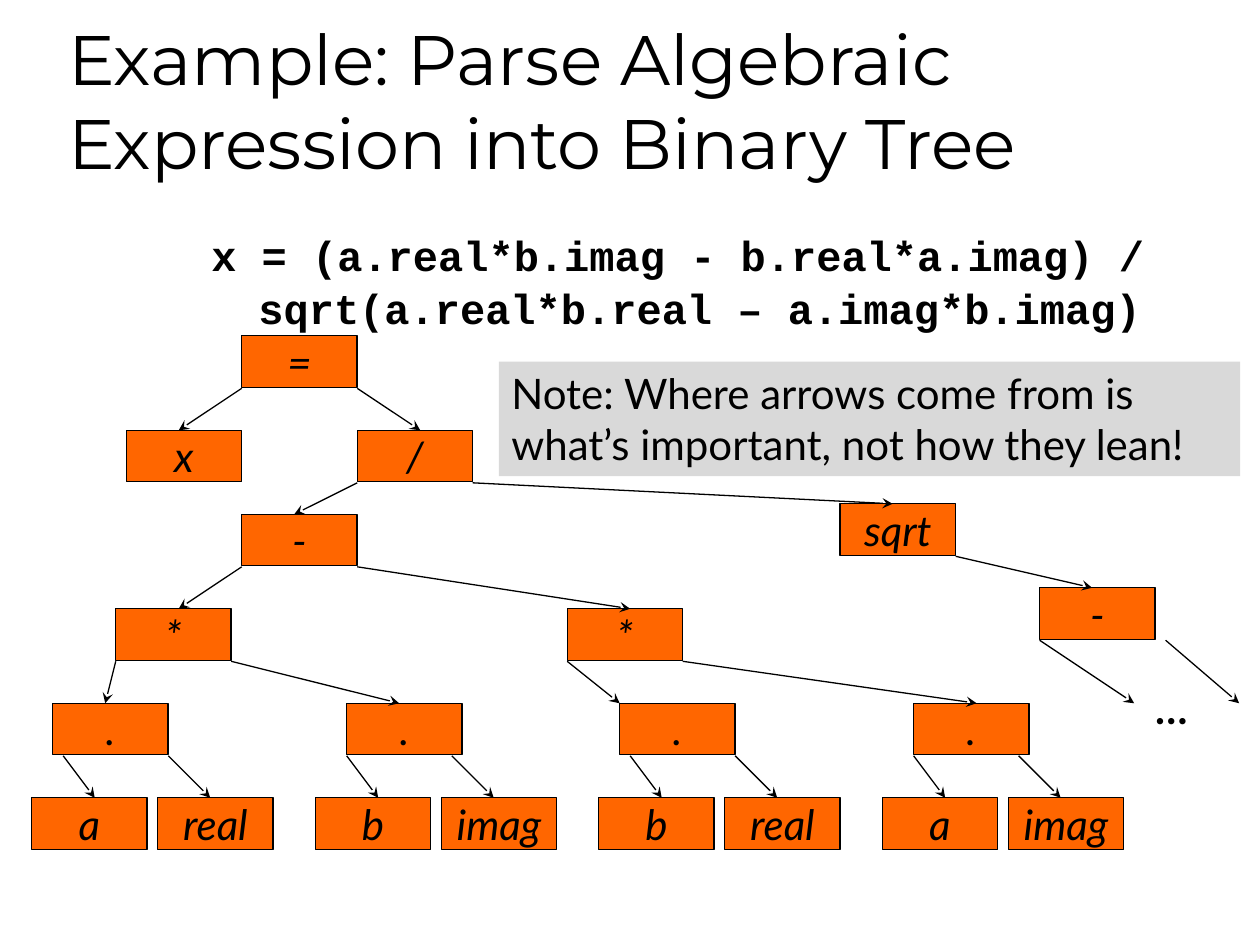
from lxml.etree import SubElement
from pptx import Presentation
from pptx.dml.color import RGBColor
from pptx.enum.shapes import MSO_CONNECTOR as Connector, MSO_SHAPE as Shape
from pptx.enum.text import MSO_ANCHOR as Anchor, MSO_AUTO_SIZE as AutoSize, PP_ALIGN as Align
from pptx.oxml.ns import qn
from pptx.util import Cm, Pt

BLACK = "000000"
ORANGE = "FF6600"
GREY = "D9D9D9"

TREE_COLUMNS = 115
NODE_WIDTH, NODE_HEIGHT = 11, 5
PAIR_STEP, PAIR_TOP, DOT_TOP = 27, 44, 35
OPERATORS = {
    "assign": ("=", 20, 0),
    "result": ("x", 9, 9),
    "divide": ("/", 31, 9),
    "root": ("sqrt", 77, 16),
    "numerator": ("-", 20, 17),
    "radicand": ("-", 96, 24),
    "first product": ("*", 8, 26),
    "second product": ("*", 51, 26),
}
FIELDS = [("a", "real", 2), ("b", "imag", 3), ("b", "real", 2), ("a", "imag", 3)]
BRANCHES = [
    ("assign", "left", "result", 5),
    ("assign", "right", "divide", 6),
    ("divide", "left", "numerator", 5),
    ("divide", "right", "root", 5),
    ("root", "right", "radicand", 5),
    ("numerator", "left", "first product", 6),
    ("numerator", "right", "second product", 6),
    ("first product", "left", "dot 0", 5),
    ("first product", "right", "dot 1", 5),
    ("second product", "left", "dot 2", 0),
    ("second product", "right", "dot 3", 6),
]


def color(value):
    return RGBColor.from_string(value)


def write(shape, text, font="Lato", size=24, bold=False, italic=False,
          align=Align.LEFT, anchor=Anchor.TOP, inset=None, wrap=True):
    frame = shape.text_frame
    frame.word_wrap = wrap
    frame.auto_size = AutoSize.NONE
    frame.vertical_anchor = anchor
    if inset is not None:
        frame.margin_left = frame.margin_right = Cm(inset)
        frame.margin_top = frame.margin_bottom = Cm(inset)
    paragraph = frame.paragraphs[0]
    paragraph.alignment = align
    run = paragraph.add_run()
    run.text = text
    run.font.name = font
    run.font.size = Pt(size)
    run.font.bold = bold
    run.font.italic = italic
    run.font.color.rgb = color(BLACK)
    return paragraph


def add_box(slide, box, fill, line=None):
    panel = slide.shapes.add_shape(Shape.RECTANGLE, *map(Cm, box))
    panel.shadow.inherit = False
    panel.fill.solid()
    panel.fill.fore_color.rgb = color(fill)
    if line:
        panel.line.color.rgb = color(line)
        panel.line.width = Pt(0.75)
    else:
        panel.line.fill.background()
    return panel


def add_arrow(slide, start, end):
    arrow = slide.shapes.add_connector(Connector.STRAIGHT, *map(Cm, (*start, *end)))
    arrow.line.color.rgb = color(BLACK)
    arrow.line.width = Pt(0.75)
    SubElement(arrow.line._get_or_add_ln(), qn("a:tailEnd"), type="stealth")
    SubElement(arrow._element.spPr, qn("a:effectLst"))


def add_title(slide, box):
    title = slide.shapes.title
    title.left, title.top, title.width, title.height = map(Cm, box)
    write(title, "Example: Parse Algebraic Expression into Binary Tree",
          font="Montserrat", size=40, anchor=Anchor.BOTTOM)


def add_expression(slide, box):
    expression = slide.shapes.add_textbox(*map(Cm, box))
    paragraph = write(
        expression,
        "x = (a.real*b.imag - b.real*a.imag) / sqrt(a.real*b.real – a.imag*b.imag)",
        font="Courier New", bold=True)
    paragraph.space_before = Pt(4)
    paragraph.line_spacing = 1.05
    properties = paragraph._p.get_or_add_pPr()
    properties.set("marL", str(Cm(0.95)))
    properties.set("indent", str(-Cm(0.95)))


def add_tree(slide, box):
    left, top, width, _ = box
    unit = width / TREE_COLUMNS

    def at(column, row):
        return left + column * unit, top + row * unit

    nodes = dict(OPERATORS)
    arrows = []
    for i, (owner, field, shift) in enumerate(FIELDS):
        start = i * PAIR_STEP
        nodes[f"dot {i}"] = (".", start + shift, DOT_TOP)
        nodes[f"owner {i}"] = (owner, start, PAIR_TOP)
        nodes[f"field {i}"] = (field, start + 12, PAIR_TOP)
        for source, target in ((3, 6), (13, 17)):
            arrows.append(((start + source, DOT_TOP + NODE_HEIGHT),
                           (start + target, PAIR_TOP)))

    for parent, side, child, offset in BRANCHES:
        _, column, row = nodes[parent]
        _, child_column, child_row = nodes[child]
        corner = column + (NODE_WIDTH if side == "right" else 0)
        arrows.append(((corner, row + NODE_HEIGHT), (child_column + offset, child_row)))
    arrows += [((96, 29), (105, 35)), ((108, 29), (115, 35))]

    for label, column, row in nodes.values():
        node = add_box(slide, (*at(column, row), NODE_WIDTH * unit, 1.04), ORANGE, BLACK)
        write(node, label, italic=True, align=Align.CENTER, anchor=Anchor.MIDDLE, inset=0)
    for start, end in arrows:
        add_arrow(slide, at(*start), at(*end))

    ellipsis = slide.shapes.add_textbox(*map(Cm, (*at(107, 33), 0.61, 1.02)))
    write(ellipsis, "…", bold=True, anchor=Anchor.MIDDLE, inset=0, wrap=False)


def add_note(slide, box):
    note = add_box(slide, box, GREY)
    write(note, "Note: Where arrows come from is what’s important, not how they lean!")


deck = Presentation()
deck.slide_width, deck.slide_height = Cm(25.4), Cm(19.05)
slide = deck.slides.add_slide(deck.slide_layouts[5])
add_title(slide, (1.12, 0.64, 23.85, 3.18))
add_expression(slide, (4.01, 4.45, 21.29, 2.06))
add_tree(slide, (0.64, 6.77, 24.34, 10.37))
add_note(slide, (10.06, 7.29, 14.94, 2.31))
deck.save("out.pptx")
